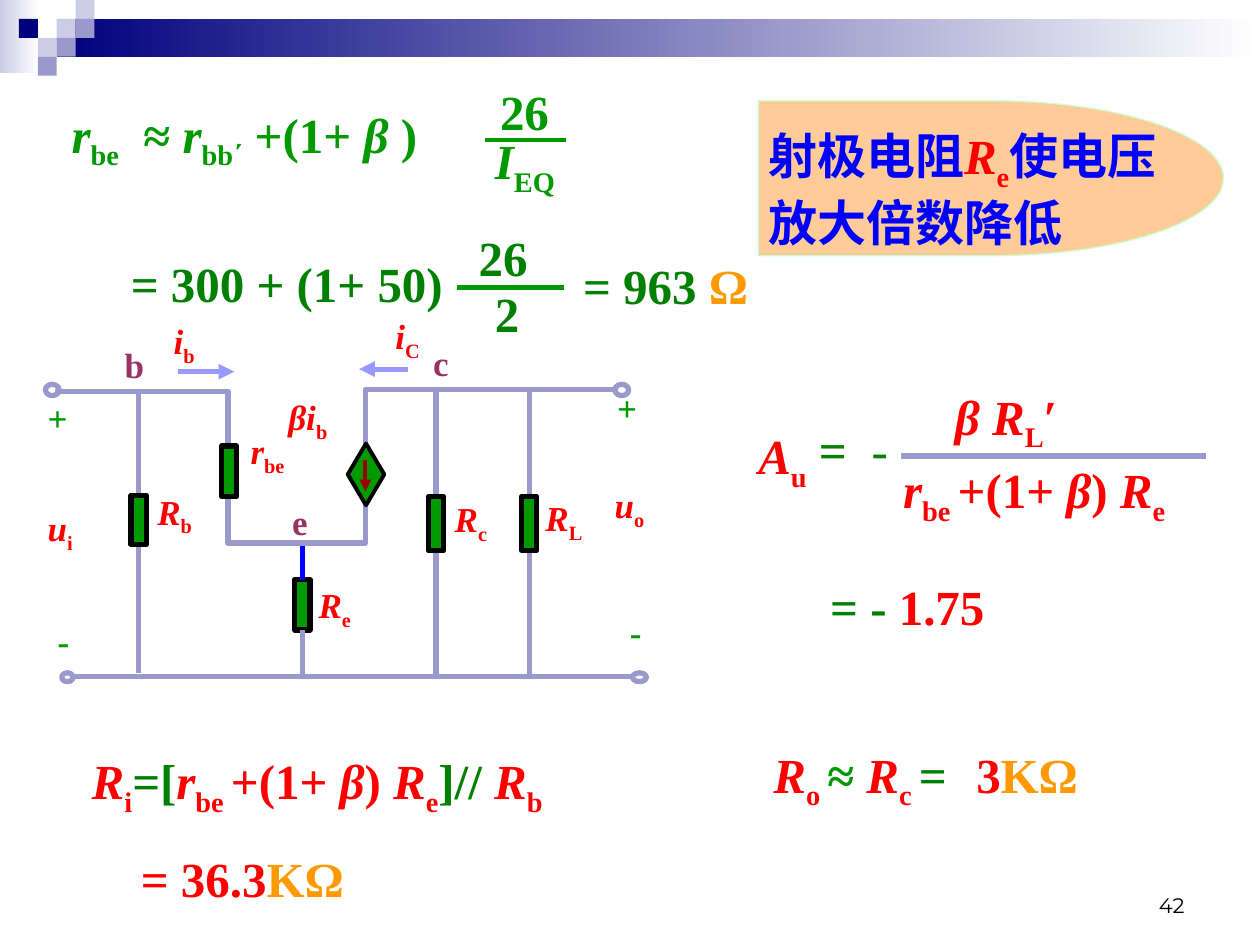
import pptx
import pptx.util
import pptx.dml.color
import pptx.enum.shapes
import pptx.enum.text
import pptx.oxml

Inches = pptx.util.Inches
Pt = pptx.util.Pt
KIND = pptx.enum.shapes.MSO_SHAPE
ALIGN = pptx.enum.text.PP_ALIGN
NS = 'xmlns:a="http://schemas.openxmlformats.org/drawingml/2006/main"'
HEX = {
    "green": "009900", "dark": "008000", "red": "FF0000", "gold": "FF9900",
    "blue": "0000FF", "plum": "993366", "wire": "9999CC", "flow": "9999FF",
    "black": "000000", "white": "FFFFFF", "navy": "00007D", "pale": "CCCCE6",
    "peach": "FFCC99", "mint": "CCFFCC", "brick": "990000",
}


def rgb(name):
    """Look up a colour by name."""
    return pptx.dml.color.RGBColor.from_string(HEX[name])


def add_run(para, text, tint, style="", size=28, font="Times New Roman"):
    """Add one run; style holds i for italic, s for subscript, n for not bold."""
    run = para.add_run()
    run.text = text
    run.font.size = Pt(size)
    run.font.name = font
    run.font.color.rgb = rgb(tint)
    run.font.bold = "n" not in style
    run.font.italic = "i" in style
    if "s" in style:
        run.font._element.set("baseline", "-25000")


def add_box(slide, x, y, w, h):
    """Add a wrapping text box and return its frame."""
    frame = slide.shapes.add_textbox(
        Inches(x), Inches(y), Inches(w), Inches(h)).text_frame
    frame.word_wrap = True
    return frame


def add_math(slide, x, y, w, runs, size=28, tab=None, h=0.6):
    """Add a line of maths built from runs, with an optional tab stop."""
    frame = add_box(slide, x, y, w, h)
    para = frame.paragraphs[0]
    if tab:
        stop = f'<a:tabLst {NS}><a:tab pos="{Inches(tab)}" algn="l"/></a:tabLst>'
        para._p.get_or_add_pPr().append(pptx.oxml.parse_xml(stop))
    for run in runs:
        add_run(para, *run, size=size)
    return frame


def add_sym(slide, x, y, w, base, sub, size=20):
    """Add a red symbol with a subscript."""
    add_math(slide, x, y, w, [(base, "red", "i"), (sub, "red", "s")], size, h=0.48)


def add_form(slide, kind, x, y, w, h, fill=None, line=None, width=3):
    """Add a preset shape with a plain fill and outline."""
    form = slide.shapes.add_shape(kind, Inches(x), Inches(y), Inches(w), Inches(h))
    form.shadow.inherit = False
    paint(form, fill, line, width)
    return form


def paint(form, fill, line, width=3):
    """Set or clear the fill and line of a shape."""
    if fill:
        form.fill.solid()
        form.fill.fore_color.rgb = rgb(fill)
    else:
        form.fill.background()
    if line:
        form.line.color.rgb = rgb(line)
        form.line.width = Pt(width)
    else:
        form.line.fill.background()


def add_fade(slide, x, y, w, h, tint):
    """Add a bar that fades to white."""
    bar = add_form(slide, KIND.RECTANGLE, x, y, w, h)
    bar.fill.gradient()
    bar.fill.gradient_angle = 0
    for stop, name, place in zip(bar.fill.gradient_stops, (tint, "white"), (0, 1)):
        stop.color.rgb = rgb(name)
        stop.position = place


def add_wire(slide, x1, y1, x2, y2, tint="wire", width=3, head=False):
    """Add a straight line, with an arrowhead if asked."""
    wire = slide.shapes.add_connector(
        pptx.enum.shapes.MSO_CONNECTOR.STRAIGHT,
        Inches(x1), Inches(y1), Inches(x2), Inches(y2))
    wire.line.color.rgb = rgb(tint)
    wire.line.width = Pt(width)
    if head:
        wire.line._get_or_add_ln().append(
            pptx.oxml.parse_xml(f'<a:tailEnd {NS} type="triangle"/>'))
    wire._element.spPr.append(pptx.oxml.parse_xml(f"<a:effectLst {NS}/>"))
    return wire


def add_load(slide, x, y, h):
    """Add a resistor body centred on x."""
    return add_form(slide, KIND.RECTANGLE, x - 0.06, y, 0.12, h, "green", "black")


def add_band(slide):
    """Draw the top band and its small squares."""
    add_fade(slide, 0, 0, 0.31, 0.58, "pale")
    add_fade(slide, 0.45, 0.15, 9.55, 0.3, "navy")
    for col, row, tint in [(3, 1, "pale"), (4, 0, "pale"), (4, 1, "wire"),
                           (2, 2, "pale"), (1, 1, "navy"), (3, 2, "wire"),
                           (2, 3, "wire")]:
        add_form(slide, KIND.RECTANGLE, col * 0.15, row * 0.15, 0.15, 0.15, tint)


def add_input(slide):
    """Write the working for the base resistance."""
    add_math(slide, 0.47, 0.78, 4.16, [
        ("r", "green", "i"), ("be", "green", "s"), ("\t≈ ", "green"),
        ("r", "green", "i"), ("bb΄", "green", "s"), (" +(1+ ", "green"),
        ("β", "green", "i"), (" )", "green")], tab=0.57)
    add_math(slide, 3.87, 0.6, 0.71, [("26", "green")])
    add_math(slide, 3.83, 0.99, 0.9, [("I", "green", "i"), ("EQ", "green", "s")])
    add_wire(slide, 3.85, 1.11, 4.49, 1.11, "green", 2.25)
    add_math(slide, 0.94, 1.96, 3.04, [("= 300 + (1+ 50)", "dark")])
    add_math(slide, 3.7, 1.76, 0.84, [("26", "dark")])
    add_math(slide, 3.83, 2.2, 0.61, [("2", "dark")])
    add_wire(slide, 3.63, 2.28, 4.48, 2.28, "green")
    add_math(slide, 4.53, 1.98, 1.87, [("= 963 ", "dark"), ("Ω", "gold")])


def add_gain(slide):
    """Write the voltage gain and the remark on it."""
    add_form(slide, KIND.FLOWCHART_DELAY, 6.02, 0.8, 3.69, 1.23, "peach", "mint", 0.75)
    add_math(slide, 6, 0.95, 3.35, [
        ("射极电阻", "blue"), ("R", "red", "i"), ("e", "red", "s"),
        ("使电压放大倍数降低", "blue")], h=1.1)
    add_math(slide, 7.48, 3.02, 1.6, [
        ("β R", "red", "i"), ("L", "red", "s"), ("′", "red")])
    add_sym(slide, 5.92, 3.33, 0.82, "A", "u", 28)
    add_math(slide, 6.4, 3.28, 0.89, [("=", "dark"), ("\t-", "dark", "n")], tab=0.42)
    add_math(slide, 7.07, 3.6, 2.93, lift())
    add_wire(slide, 7.15, 3.62, 9.57, 3.62)
    add_math(slide, 6.49, 4.53, 1.95, [("= - ", "dark"), ("1.75", "red")])


def lift():
    """Return the runs of the emitter term."""
    return [("r", "red", "i"), ("be ", "red", "s"), ("+(1+ ", "red"),
            ("β", "red", "i"), (") ", "red"), ("R", "red", "i"), ("e", "red", "s")]


def add_ports(slide):
    """Write the input and output resistance."""
    frame = add_math(slide, 0.63, 5.91, 4.9, [
        ("R", "red", "i"), ("i", "red", "s"), ("=[", "dark"), *lift(),
        ("]// ", "dark"), ("R", "red", "i"), ("b", "red", "s")], h=1.34)
    para = frame.add_paragraph()
    para.space_before = Pt(17.5)
    para._p.get_or_add_pPr().set("marL", str(Inches(0.39)))
    add_run(para, "= 36.3", "red")
    add_run(para, "KΩ", "gold")
    add_math(slide, 6.04, 5.86, 3.14, [
        ("R", "red", "i"), ("o ", "red", "s"), ("≈ ", "green"), ("R", "red", "i"),
        ("c ", "red", "s"), ("=", "dark"), ("\t3", "red"), ("KΩ", "gold")], tab=1.61)


def add_net(slide):
    """Draw the wires, loads and source of the circuit."""
    for x, y, w, h in [(0.49, 5.34, 0.09, 0.07), (5.02, 5.34, 0.11, 0.07),
                       (4.88, 3.05, 0.11, 0.09), (0.36, 3.05, 0.11, 0.09)]:
        add_form(slide, KIND.OVAL, x, y, w, h, None, "wire")
    add_wire(slide, 0.57, 5.37, 5.01, 5.37)
    for x, top, y, h in [(1.1, 3.09, 3.93, 0.39), (3.46, 3.11, 3.94, 0.43),
                         (4.2, 3.11, 3.94, 0.43)]:
        add_wire(slide, x, top, x, top + 2.25)
        add_load(slide, x, y, h)
    load = add_load(slide, 2.4, 4.6, 0.4)
    add_wire(slide, 2.4, 4.6, 2.4, 4.29, "blue").begin_connect(load, 0)
    add_wire(slide, 2.4, 5, 2.4, 5.36).begin_connect(load, 2)
    pen = slide.shapes.build_freeform(Inches(0.44), Inches(3.11))
    pen.add_line_segments([(Inches(x), Inches(y)) for x, y in [
        (1.81, 3.11), (1.81, 4.31), (2.9, 4.31), (2.9, 3.09), (4.89, 3.09)]], close=False)
    loop = pen.convert_to_shape()
    loop.shadow.inherit = False
    paint(loop, None, "wire")
    add_load(slide, 1.82, 3.54, 0.4)
    add_form(slide, KIND.FLOWCHART_DECISION, 2.76, 3.52, 0.29, 0.49, "green", "black", 2.25)
    add_wire(slide, 2.9, 3.65, 2.9, 3.9, "brick", 2.25, True)
    add_wire(slide, 1.41, 2.95, 1.86, 2.95, "flow", head=True)
    add_wire(slide, 3.24, 2.93, 2.85, 2.93, "flow", head=True)


def add_names(slide):
    """Label the parts of the circuit."""
    for x, y, w, text, tint in [
            (4.8, 3.02, 0.53, "+", "green"), (0.28, 3.1, 0.53, "+", "green"),
            (4.9, 4.8, 0.4, "-", "green"), (0.36, 4.87, 0.4, "-", "green"),
            (2.22, 3.92, 0.47, "e", "plum"), (3.34, 2.66, 0.47, "c", "plum"),
            (0.89, 2.68, 0.47, "b", "plum")]:
        add_math(slide, x, y, w, [(text, tint)], 20, h=0.44)
    for item in [(1.89, 3.36, 0.76, "r", "be"), (0.28, 3.97, 0.59, "u", "i"),
                 (3.04, 2.45, 0.56, "i", "C"), (2.19, 3.09, 0.93, "βi", "b"),
                 (4.78, 3.79, 0.61, "u", "o"), (1.28, 2.49, 0.47, "i", "b"),
                 (3.51, 3.9, 0.58, "R", "c"), (4.23, 3.89, 0.62, "R", "L"),
                 (1.15, 3.84, 0.7, "R", "b"), (2.43, 4.58, 0.75, "R", "e")]:
        add_sym(slide, *item)


def add_page(slide):
    """Write the page number."""
    frame = add_box(slide, 7.17, 6.83, 2.33, 0.5)
    frame.vertical_anchor = pptx.enum.text.MSO_ANCHOR.BOTTOM
    frame.paragraphs[0].alignment = ALIGN.RIGHT
    add_run(frame.paragraphs[0], "42", "black", "n", 12, "Montserrat")


def main():
    """Build the slide and save it."""
    deck = pptx.Presentation()
    deck.slide_width, deck.slide_height = Inches(10), Inches(7.5)
    slide = deck.slides.add_slide(deck.slide_layouts[6])
    for step in (add_band, add_page, add_input, add_gain, add_ports, add_net, add_names):
        step(slide)
    deck.save("out.pptx")


if __name__ == "__main__":
    main()
